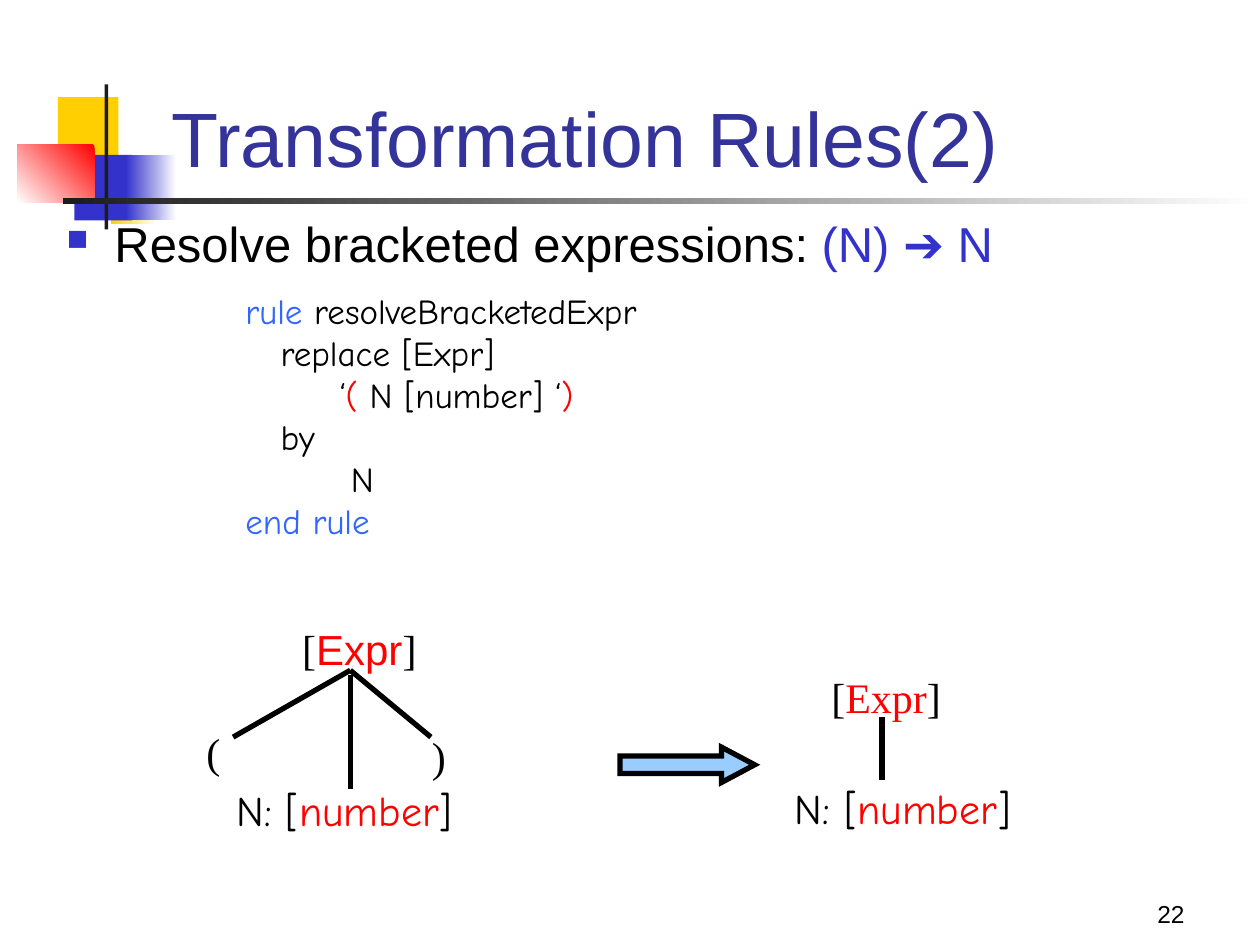
from lxml import etree
from pptx import Presentation
from pptx.dml.color import RGBColor
from pptx.enum.shapes import MSO_CONNECTOR, MSO_SHAPE
from pptx.enum.text import MSO_ANCHOR, PP_ALIGN
from pptx.oxml.ns import qn
from pptx.util import Inches, Pt

BLACK = RGBColor(0x00, 0x00, 0x00)
WHITE = RGBColor(0xFF, 0xFF, 0xFF)
RED = RGBColor(0xFF, 0x00, 0x00)
YELLOW = RGBColor(0xFF, 0xCF, 0x01)
BLUE = RGBColor(0x33, 0x33, 0xCC)
TITLE_BLUE = RGBColor(0x33, 0x33, 0x99)
KEYWORD_BLUE = RGBColor(0x33, 0x66, 0xFF)
ARROW_BLUE = RGBColor(0x99, 0xCC, 0xFF)
CHARCOAL = RGBColor(0x1C, 0x1C, 0x1C)

SANS, HAND, SERIF = "Arial", "Comic Neue", "Times New Roman"


class SlideBuilder:
    def __init__(self, slide, stroke=Pt(3), label_size=24):
        self.shapes = slide.shapes
        self.stroke = stroke
        self.label_size = label_size

    def shape(self, kind, left, top, width, height):
        shape = self.shapes.add_shape(
            kind, Inches(left), Inches(top), Inches(width), Inches(height))
        shape.shadow.inherit = False
        shape.line.fill.background()
        return shape

    def block(self, left, top, width, height, color):
        block = self.shape(MSO_SHAPE.RECTANGLE, left, top, width, height)
        block.fill.solid()
        block.fill.fore_color.rgb = color

    def fade(self, left, top, width, height, start, end, angle=180):
        """Rectangle with a two-colour gradient; angle is counter-clockwise."""
        fill = self.shape(MSO_SHAPE.RECTANGLE, left, top, width, height).fill
        fill.gradient()
        fill.gradient_angle = angle
        for stop, color, position in zip(fill.gradient_stops, (start, end), (0, 1)):
            stop.color.rgb = color
            stop.position = position

    def text(self, left, top, width, height, lines, size, font,
             wrap=True, anchor=MSO_ANCHOR.TOP, align=PP_ALIGN.LEFT, bullet=None):
        """Each line is a list of (text, colour) or (text, colour, font) runs."""
        frame = self.shapes.add_textbox(
            Inches(left), Inches(top), Inches(width), Inches(height)).text_frame
        frame.word_wrap = wrap
        frame.vertical_anchor = anchor
        for number, runs in enumerate(lines):
            paragraph = frame.add_paragraph() if number else frame.paragraphs[0]
            paragraph.alignment = align
            if bullet:
                paragraph.line_spacing = 0.9
                self.add_bullet(paragraph, bullet)
            paragraph.font.size = Pt(size)
            paragraph.font.name = font
            one_color = len({color for _, color, *_ in runs}) == 1
            if one_color:
                paragraph.font.color.rgb = runs[0][1]
            for content, color, *other_font in runs:
                run = paragraph.add_run()
                run.text = content
                if not one_color:
                    run.font.color.rgb = color
                if other_font:
                    run.font.name = other_font[0]

    def add_bullet(self, paragraph, color, indent=0.38):
        properties = paragraph._p.get_or_add_pPr()
        properties.set("marL", str(Inches(indent)))
        properties.set("indent", str(-Inches(indent)))
        bullet_color = etree.SubElement(properties, qn("a:buClr"))
        etree.SubElement(bullet_color, qn("a:srgbClr"), val=str(color))
        etree.SubElement(properties, qn("a:buSzPct"), val="60000")
        etree.SubElement(properties, qn("a:buChar"), char="■")

    def label(self, left, top, width, runs, font):
        self.text(left, top, width, 0.5, [runs], self.label_size, font, wrap=False)

    def branch(self, start, end):
        line = self.shapes.add_connector(
            MSO_CONNECTOR.STRAIGHT, *(Inches(value) for value in start + end))
        line.line.color.rgb = BLACK
        line.line.width = self.stroke
        etree.SubElement(line._element.spPr, qn("a:effectLst"))

    def arrow(self, left, top, width, height):
        arrow = self.shape(MSO_SHAPE.RIGHT_ARROW, left, top, width, height)
        arrow.adjustments[0] = 0.5
        arrow.adjustments[1] = 0.94
        arrow.fill.solid()
        arrow.fill.fore_color.rgb = ARROW_BLUE
        arrow.line.color.rgb = BLACK
        arrow.line.width = self.stroke
        outline = arrow._element.spPr.find(qn("a:ln"))
        etree.SubElement(outline, qn("a:miter"), lim="800000")


def bracketed(name, prefix="", *name_font):
    return [(prefix + "[", BLACK), (name, RED, *name_font), ("]", BLACK)]


def main():
    deck = Presentation()
    deck.slide_width, deck.slide_height = Inches(10), Inches(7.5)
    page = SlideBuilder(deck.slides.add_slide(deck.slide_layouts[6]))

    # Corner ornament
    page.block(0.46, 0.77, 0.48, 0.52, YELLOW)
    page.fade(0.88, 1.26, 0.36, 0.52, WHITE, YELLOW)
    page.block(0.59, 1.23, 0.46, 0.52, BLUE)
    page.fade(1, 1.23, 0.4, 0.52, WHITE, BLUE)
    page.fade(0.14, 1.15, 0.61, 0.46, RED, WHITE, angle=225)
    page.block(0.83, 0.67, 0.03, 1.15, CHARCOAL)
    page.fade(0.5, 1.57, 9.5, 0.05, WHITE, CHARCOAL)

    page.text(7.42, 6.92, 2.08, 0.5, [[("22", BLACK)]], 14, SANS,
              anchor=MSO_ANCHOR.BOTTOM, align=PP_ALIGN.RIGHT)
    page.text(1.26, 0.13, 8.52, 1.37, [[("Transformation Rules(2)", TITLE_BLUE)]],
              44, SANS, anchor=MSO_ANCHOR.BOTTOM)
    page.text(0.43, 1.7, 9.29, 0.55,
              [[("Resolve bracketed expressions: ", BLACK), ("(N) ➔ N", BLUE)]],
              28, SANS, bullet=BLUE)

    rule_code = [
        [("rule", KEYWORD_BLUE), (" resolveBracketedExpr", BLACK)],
        [("   replace [Expr]", BLACK)],
        [("        ‘", BLACK), ("(", RED), (" N [number] ‘", BLACK), (")", RED)],
        [("   by", BLACK)],
        [("         N", BLACK)],
        [("end rule", KEYWORD_BLUE)],
    ]
    page.text(1.85, 2.25, 5.36, 2.1, rule_code, 20, HAND)

    # Tree after the rule
    number_leaf = bracketed("number", "N: ")
    page.label(6.5, 5.28, 1.07, bracketed("Expr"), SERIF)
    page.branch((7, 5.69), (7, 6.19))
    page.label(6.21, 6.16, 1.91, number_leaf, HAND)

    page.arrow(4.92, 5.93, 1.07, 0.28)

    # Tree before the rule
    root_x, root_y = 2.78, 5.32
    page.label(2.3, 4.9, 1.16, bracketed("Expr", "", SANS), SERIF)
    page.label(1.54, 5.72, 0.32, [("(", BLACK)], SERIF)
    page.label(1.78, 6.18, 1.91, number_leaf, HAND)
    page.label(3.33, 5.75, 0.32, [(")", BLACK)], SERIF)
    page.branch((root_x, root_y), (1.85, 5.85))
    page.branch((root_x, 5.36), (root_x, 6.26))
    page.branch((root_x, root_y), (3.42, 5.85))

    deck.save("out.pptx")


if __name__ == "__main__":
    main()
